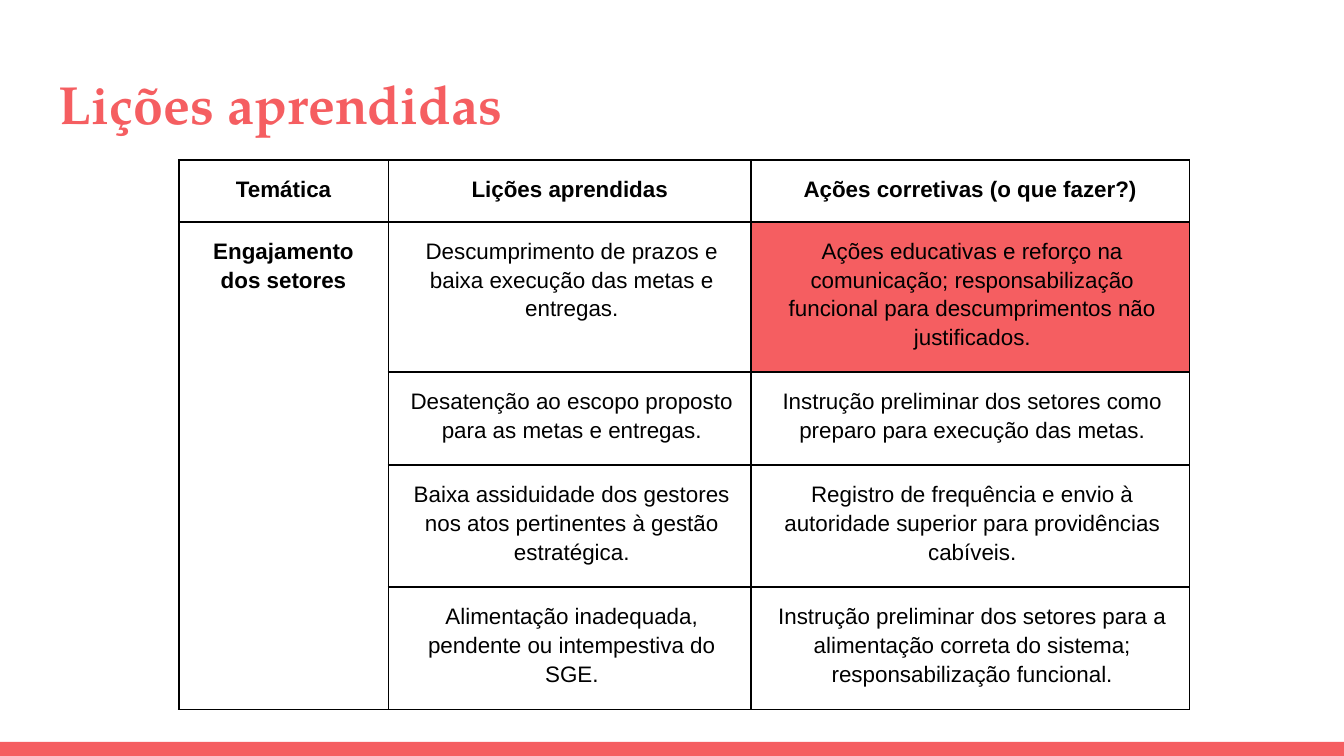
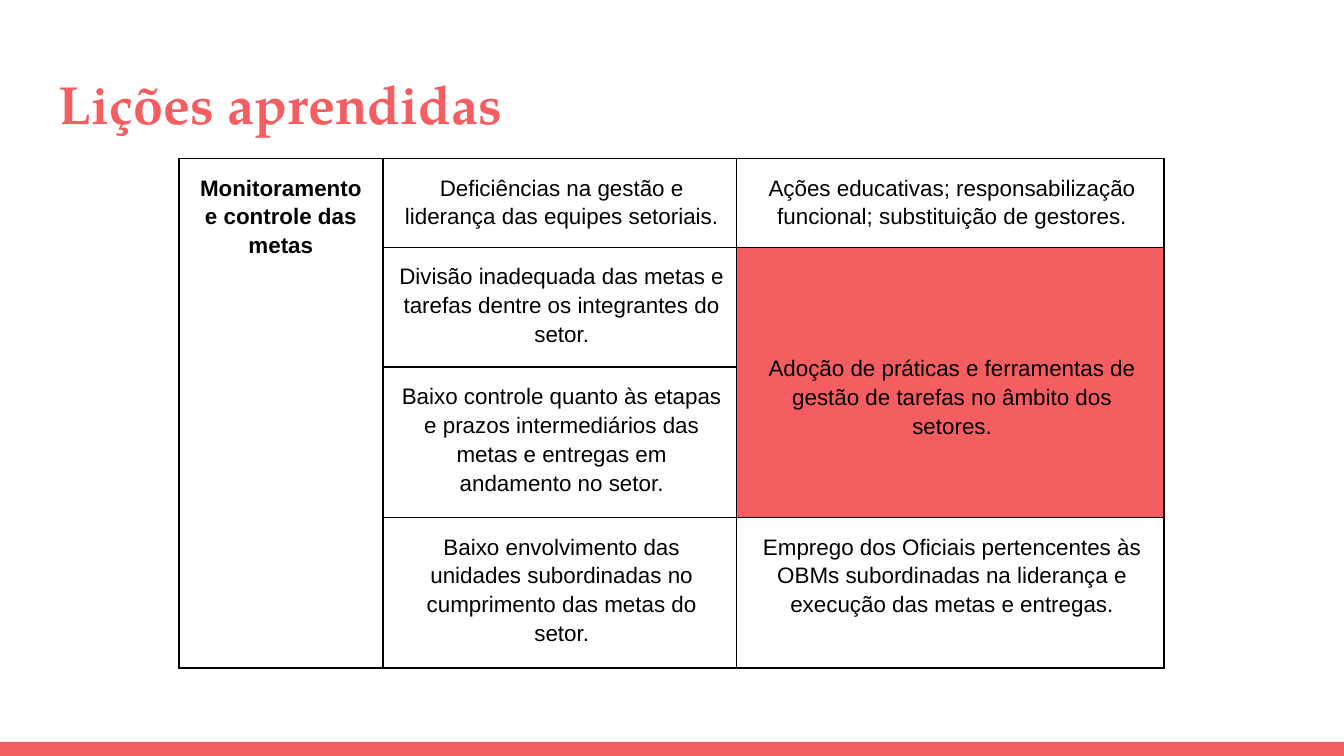
"""Builds two slides of lessons learned, each with a titled table."""
from dataclasses import dataclass

from lxml.etree import SubElement
from pptx import Presentation
from pptx.dml.color import RGBColor
from pptx.enum.shapes import MSO_SHAPE as Shape
from pptx.enum.text import MSO_ANCHOR as Anchor, PP_ALIGN as Align
from pptx.oxml.ns import qn
from pptx.util import Inches, Pt


@dataclass(frozen=True)
class Theme:
    accent: RGBColor = RGBColor(0xF5, 0x5E, 0x61)
    ink: RGBColor = RGBColor(0, 0, 0)
    title_font: str = "TeX Gyre Pagella"
    body_font: str = "Arial"
    title_size: float = 28.8
    body_size: float = 12
    border_width: float = 1
    line_spacing: float = 1.15


@dataclass(frozen=True)
class Entry:
    text: str
    bold: bool = False
    filled: bool = False
    rows: int = 1
    anchor: Anchor = Anchor.TOP
    top: float = 0.1


class Deck:
    def __init__(self, theme):
        self.theme = theme
        self.presentation = Presentation()
        self.presentation.slide_width = Inches(10)
        self.presentation.slide_height = Inches(10 * 9 / 16)
        self.slide = None

    def add_slide(self, title):
        layout = self.presentation.slide_layouts[6]
        self.slide = self.presentation.slides.add_slide(layout)
        self.add_footer_band()
        self.add_title(title)

    def add_footer_band(self):
        band = self.slide.shapes.add_shape(
            Shape.RECTANGLE, Inches(0), Inches(5.52), Inches(10), Inches(0.11))
        band.shadow.inherit = False
        band.fill.solid()
        band.fill.fore_color.rgb = self.theme.accent
        band.line.fill.background()

    def add_title(self, text):
        box = self.slide.shapes.add_textbox(
            Inches(0.34), Inches(0.43), Inches(9.32), Inches(0.68))
        frame = box.text_frame
        frame.word_wrap = True
        frame.vertical_anchor = Anchor.MIDDLE
        frame.margin_left = frame.margin_right = Inches(0.1)
        frame.margin_top = frame.margin_bottom = Inches(0.1)
        theme = self.theme
        self.add_run(frame.paragraphs[0], text, theme.title_font,
                     theme.title_size, theme.accent, True)

    def add_run(self, paragraph, text, font, size, color, bold):
        run = paragraph.add_run()
        run.text = text
        run.font.name = font
        run.font.size = Pt(size)
        run.font.color.rgb = color
        run.font.bold = bold

    def add_table(self, top, widths, heights, entries):
        shape = self.slide.shapes.add_table(
            len(heights), len(widths), Inches(1.33), Inches(top),
            Inches(3.28), Inches(3.28))
        table = shape.table
        table.first_row = table.horz_banding = False
        for column, width in zip(table.columns, widths):
            column.width = Inches(width)
        for row, height in zip(table.rows, heights):
            row.height = Inches(height)
        shape.width = shape.height = Inches(3.28)
        for cell in table.iter_cells():
            self.style_cell(cell)
        for r, row in enumerate(entries):
            for c, entry in enumerate(row):
                if entry:
                    self.fill_entry(table, r, c, entry)

    def style_cell(self, cell):
        cell.margin_left = cell.margin_right = Pt(5.4)
        cell.margin_top = cell.margin_bottom = Inches(0.1)
        properties = cell._tc.get_or_add_tcPr()
        for side in ("a:lnL", "a:lnR", "a:lnT", "a:lnB"):
            line = SubElement(properties, qn(side),
                              w=str(Pt(self.theme.border_width)))
            fill = SubElement(line, qn("a:solidFill"))
            SubElement(fill, qn("a:srgbClr"), val=str(self.theme.ink))
        cell.fill.background()

    def fill_entry(self, table, row, column, entry):
        cell = table.cell(row, column)
        if entry.rows > 1:
            cell.merge(table.cell(row + entry.rows - 1, column))
        if entry.filled:
            for r in range(row, row + entry.rows):
                fill = table.cell(r, column).fill
                fill.solid()
                fill.fore_color.rgb = self.theme.accent
        cell.vertical_anchor = entry.anchor
        cell.margin_top = Inches(entry.top)
        paragraph = cell.text_frame.paragraphs[0]
        properties = paragraph._p.get_or_add_pPr()
        properties.set("marL", str(Inches(0.08 if entry.bold else 0.04)))
        properties.set("marR", str(Inches(0.08 if entry.bold else 0.01)))
        properties.set("indent", "0")
        paragraph.alignment = Align.CENTER
        paragraph.line_spacing = self.theme.line_spacing
        paragraph.space_before = paragraph.space_after = Pt(0)
        theme = self.theme
        self.add_run(paragraph, entry.text, theme.body_font,
                     theme.body_size, theme.ink, entry.bold)


TITLE = "Lições aprendidas"

ENGAGEMENT = [
    [Entry("Temática", bold=True),
     Entry("Lições aprendidas", bold=True),
     Entry("Ações corretivas (o que fazer?)", bold=True)],
    [Entry("Engajamento dos setores", bold=True, rows=4),
     Entry("Descumprimento de prazos e baixa execução das metas e entregas."),
     Entry("Ações educativas e reforço na comunicação; responsabilização "
           "funcional para descumprimentos não justificados.", filled=True)],
    [None,
     Entry("Desatenção ao escopo proposto para as metas e entregas."),
     Entry("Instrução preliminar dos setores como preparo para execução "
           "das metas.")],
    [None,
     Entry("Baixa assiduidade dos gestores nos atos pertinentes à gestão "
           "estratégica."),
     Entry("Registro de frequência e envio à autoridade superior para "
           "providências cabíveis.")],
    [None,
     Entry("Alimentação inadequada, pendente ou intempestiva do SGE."),
     Entry("Instrução preliminar dos setores para a alimentação correta do "
           "sistema; responsabilização funcional.")],
]

MONITORING = [
    [Entry("Monitoramento e controle das metas", bold=True, rows=4),
     Entry("Deficiências na gestão e liderança das equipes setoriais."),
     Entry("Ações educativas; responsabilização funcional; substituição "
           "de gestores.")],
    [None,
     Entry("Divisão inadequada das metas e tarefas dentre os integrantes "
           "do setor."),
     Entry("Adoção de práticas e ferramentas de gestão de tarefas no âmbito "
           "dos setores.", filled=True, rows=2, anchor=Anchor.MIDDLE,
           top=0.3)],
    [None,
     Entry("Baixo controle quanto às etapas e prazos intermediários das "
           "metas e entregas em andamento no setor."),
     None],
    [None,
     Entry("Baixo envolvimento das unidades subordinadas no cumprimento das "
           "metas do setor."),
     Entry("Emprego dos Oficiais pertencentes às OBMs subordinadas na "
           "liderança e execução das metas e entregas.")],
]


def main():
    deck = Deck(Theme())
    deck.add_slide(TITLE)
    deck.add_table(1.19, [1.56, 2.7, 3.26],
                   [0.46, 0.91, 0.69, 0.91, 0.91], ENGAGEMENT)
    deck.add_slide(TITLE)
    deck.add_table(1.18, [1.52, 2.63, 3.18],
                   [0.33, 0.49, 0.49, 0.49], MONITORING)
    deck.presentation.save("out.pptx")


if __name__ == "__main__":
    main()
